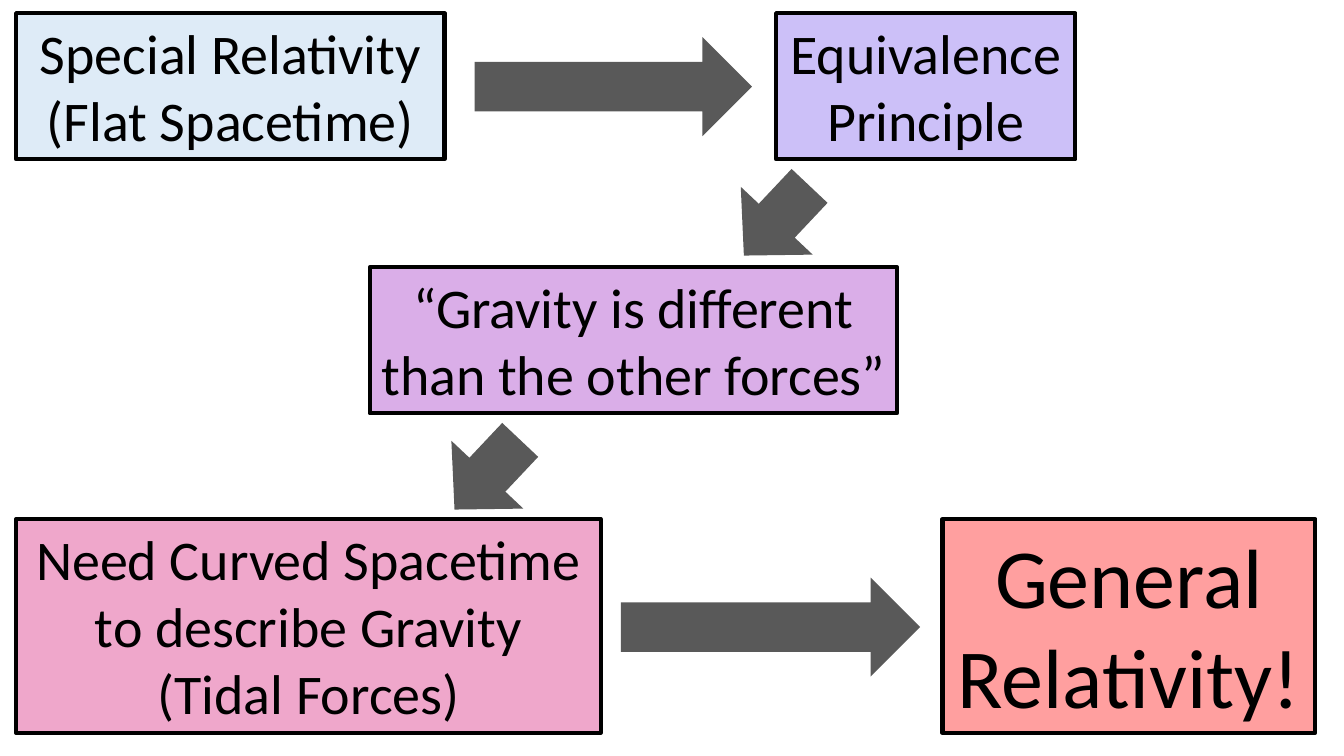
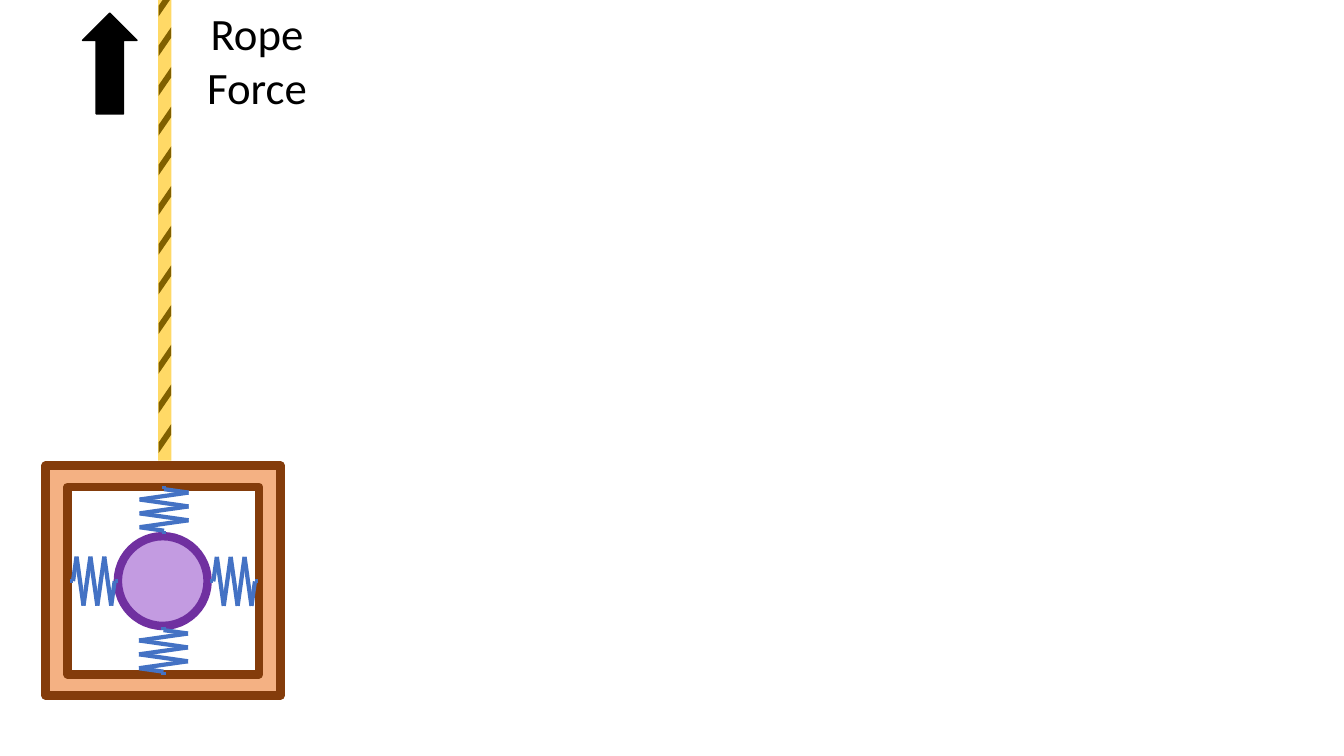
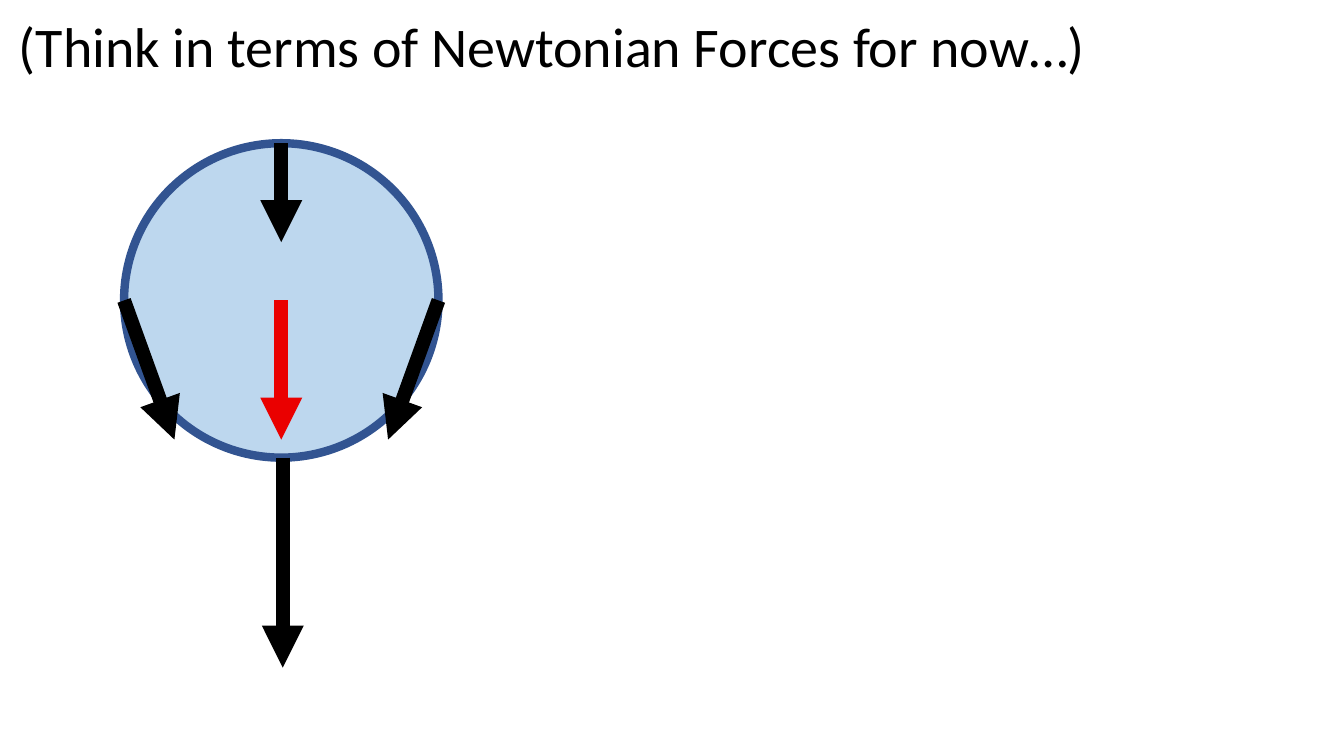
from itertools import pairwise
from lxml.etree import SubElement
from pptx import Presentation
from pptx.dml.color import RGBColor
from pptx.enum.shapes import MSO_CONNECTOR, MSO_SHAPE
from pptx.enum.text import MSO_AUTO_SIZE, PP_ALIGN
from pptx.oxml.ns import qn
from pptx.util import Pt


class Theme:
    font = "Calibri"
    size = {"label": 32, "body": 40, "big": 60}
    line = {"hair": 1, "thin": 3, "edge": 6, "force": 10}
    black, white, gray, red = "000000", "FFFFFF", "595959", "EA0000"
    ice, lilac, plum, pink, coral = "DEEBF7", "CCC0F8", "DAAEE8", "EFA7CB", "FF9F9F"
    wood, brown, ball, rim, spring = "F4B183", "843C0B", "C39BE1", "7030A0", "4472C4"
    rope, stripe, disc, ring = "FFD966", "806000", "BDD7EE", "325491"


# Slide 1: text, frame, fill, size
steps = [
    ("Special Relativity\n(Flat Spacetime)", (11.5, 9.4, 306, 104.4), Theme.ice, "body"),
    ("Equivalence Principle", (554.4, 9.4, 213.8, 104.4), Theme.lilac, "body"),
    ("“Gravity is different than the other forces”", (264.2, 190.8, 376.6, 104.4), Theme.plum, "body"),
    ("Need Curved Spacetime to describe Gravity\n(Tidal Forces)", (11.5, 370.8, 417.6, 152.6), Theme.pink, "body"),
    ("General Relativity!", (673.2, 370.8, 266.4, 152.6), Theme.coral, "big"),
]
# Block arrows: frame, turn
links = [
    ((339.1, 26.6, 198, 70.6), 0),
    ((520.6, 122.4, 68.4, 70.6), 133.3),
    ((443.5, 412.6, 213.8, 70.6), 0),
    ((313.9, 303.8, 68.4, 70.6), 133.3),
]

# Slide 2: preset, frame, fill, line
crate = [
    (MSO_SHAPE.RECTANGLE, (32.6, 332.6, 167.8, 164.2), Theme.wood, Theme.brown),
    (MSO_SHAPE.RECTANGLE, (48.3, 347.8, 136.8, 133.9), Theme.white, Theme.brown),
    (MSO_SHAPE.OVAL, (84.2, 383, 64.1, 64.1), Theme.ball, Theme.rim),
]
# Springs: start x, start y, upright
springs = [(49.7, 415.1, False), (149.9, 415.3, False), (116.8, 482.3, True), (117.2, 381.6, True)]
lead, pitch, swing, turns = 2.5, 4.95, 17.5, 6
rope = (113, 0, 9.4, 329)
bands, gap, band = 12, 28.35, (106.6, -0.7, 22.3, 4.3)

# Slide 3: start on disc in radii, reach, colour
disc = (200.9, 214.6, 112.3)
forces = [
    ((0.01, 1), (0, 150), Theme.black),
    ((-1, 0), (36, 99.4), Theme.black),
    ((1, 0), (-36, 99.4), Theme.black),
    ((0, 0), (0, 99.4), Theme.red),
    ((0, -1), (0, 70.6), Theme.black),
]


def color(code):
    return RGBColor.from_string(code)


def apply(part, values):
    for name, value in values.items():
        setattr(part, name, value)


def paint(item, fill, line=None, width="edge"):
    item.fill.solid()
    item.fill.fore_color.rgb = color(fill)
    if line:
        item.line.color.rgb = color(line)
        item.line.width = Pt(Theme.line[width])
    else:
        item.line.fill.background()


def shape(slide, kind, frame, fill, line=None, width="edge", turn=0):
    item = slide.shapes.add_shape(kind, *map(Pt, frame))
    item.shadow.inherit = False
    item.rotation = turn
    paint(item, fill, line, width)
    return item


def label(slide, text, frame, size, align=PP_ALIGN.CENTER, wrap=True):
    item = slide.shapes.add_textbox(*map(Pt, frame))
    apply(item.text_frame, {"word_wrap": wrap, "auto_size": MSO_AUTO_SIZE.SHAPE_TO_FIT_TEXT})
    para = item.text_frame.paragraphs[0]
    para.text = text.replace("\n", "\v")
    para.alignment = align
    for run in para.runs:
        apply(run.font, {"name": Theme.font, "size": Pt(Theme.size[size])})
        run.font.color.rgb = color(Theme.black)
    return item


def stroke(slide, start, end, tint, width, head=False):
    item = slide.shapes.add_connector(MSO_CONNECTOR.STRAIGHT, *map(Pt, (*start, *end)))
    item.line.color.rgb = color(tint)
    item.line.width = Pt(Theme.line[width])
    if head:
        SubElement(item.line._get_or_add_ln(), qn("a:tailEnd"), type="triangle")
    SubElement(item._element.spPr, qn("a:effectLst"))


def coil(x, y, upright):
    """Points of a zigzag that runs right, or up when upright."""
    last = 2 * lead + turns * pitch
    peaks = [(2 * lead + i * pitch, swing * (-1) ** (i + 1)) for i in range(turns)]
    track = [(0, 0), (lead, 0), *peaks, (last - lead, 0), (last, 0)]
    return [(x + b, y - a) if upright else (x + a, y + b) for a, b in track]


def flow(slide):
    for text, frame, fill, size in steps:
        paint(label(slide, text, frame, size), fill, Theme.black, "thin")
    for frame, turn in links:
        shape(slide, MSO_SHAPE.RIGHT_ARROW, frame, Theme.gray, turn=turn)


def lift(slide):
    # Crate with ball and springs
    for kind, frame, fill, line in crate:
        shape(slide, kind, frame, fill, line)
    for spring in springs:
        for start, end in pairwise(coil(*spring)):
            stroke(slide, start, end, Theme.spring, "thin")
    # Striped rope
    shape(slide, MSO_SHAPE.RECTANGLE, rope, Theme.rope)
    x, y, w, h = band
    for i in range(bands):
        item = shape(slide, MSO_SHAPE.PARALLELOGRAM, (x, y + i * gap, w, h), Theme.stripe, turn=304.5)
        item.adjustments[0] = 1.49
    # Pull
    label(slide, "Rope\nForce", (118.8, 0.7, 129.6, 85), "label")
    shape(slide, MSO_SHAPE.UP_ARROW, (59, 9.4, 38.9, 72), Theme.black, Theme.black, "hair")


def tide(slide):
    label(slide, "(Think in terms of Newtonian Forces for now…)", (6.5, 5, 784, 55.4),
          "body", PP_ALIGN.LEFT, False)
    x, y, r = disc
    shape(slide, MSO_SHAPE.OVAL, (x - r, y - r, 2 * r, 2 * r), Theme.disc, Theme.ring)
    for (u, v), (dx, dy), tint in forces:
        a, b = x + u * r, y + v * r
        stroke(slide, (a, b), (a + dx, b + dy), tint, "force", True)


def main():
    deck = Presentation()
    apply(deck, {"slide_width": Pt(960), "slide_height": Pt(540)})
    for draw in (flow, lift, tide):
        draw(deck.slides.add_slide(deck.slide_layouts[6]))
    deck.save("out.pptx")


if __name__ == "__main__":
    main()
